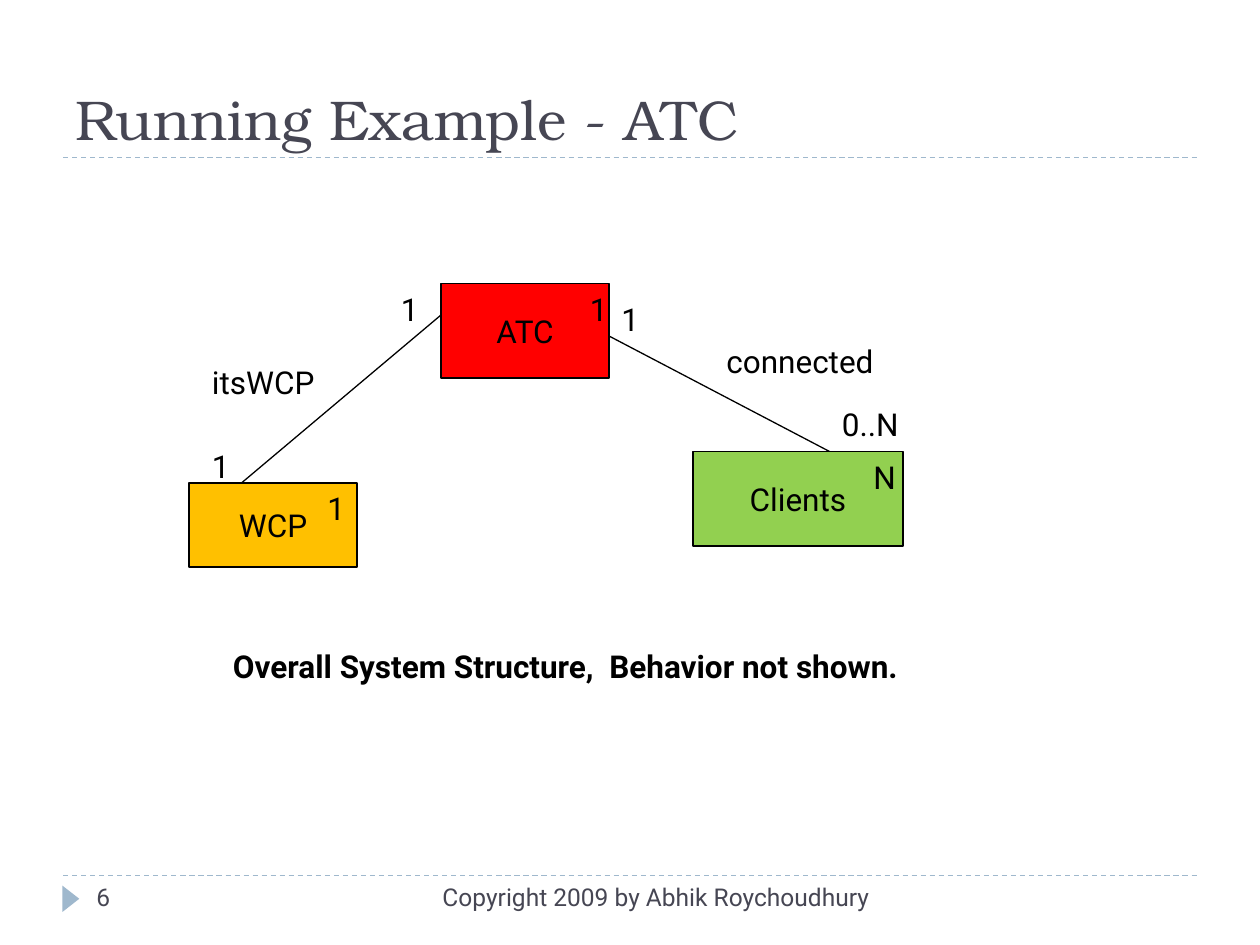
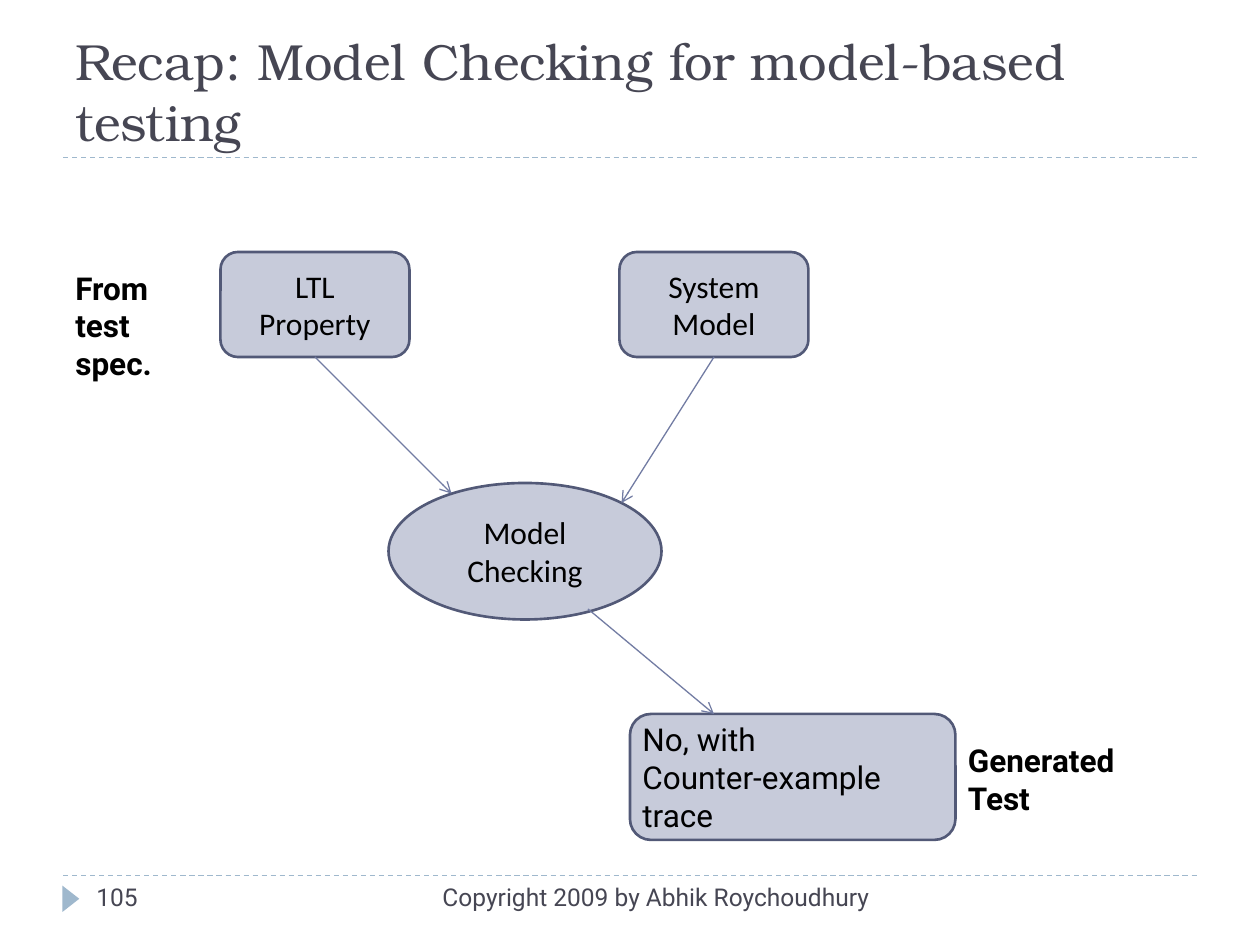
from dataclasses import dataclass

from lxml.etree import SubElement as Sub
from pptx import Presentation
from pptx.dml.color import RGBColor as RGB
from pptx.enum.dml import MSO_LINE as Dash
from pptx.enum.shapes import MSO_CONNECTOR as Conn, MSO_SHAPE as Kind
from pptx.enum.text import MSO_ANCHOR as Anchor, PP_ALIGN as Align
from pptx.oxml.ns import qn
from pptx.util import Emu, Pt

SCALE = 7620  # EMU in one px, 120 px to the inch
BOTTOM = 2    # connection site


@dataclass(frozen=True)
class Theme:
    ink: str = "000000"
    title: str = "464653"
    rule: str = "9FB8CD"
    fill: str = "C7CBDA"
    edge: str = "525977"
    arrow: str = "727CA3"
    red: str = "FF0000"
    amber: str = "FFC000"
    green: str = "92D050"
    serif: str = "TeX Gyre Bonum"
    sans: str = "Roboto"
    node: str = "Calibri"
    head: int = 32
    small_head: int = 29
    body: int = 18
    foot: int = 14
    thin: float = 0.75
    thick: float = 1.5


def px(*nums):
    return [Emu(n * SCALE) for n in nums]


def put(obj, **fmt):
    for key, val in fmt.items():
        setattr(obj, key, val)


class Deck:
    def __init__(self, theme):
        self.theme = theme
        self.prs = Presentation()
        self.prs.slide_width, self.prs.slide_height = px(1200, 900)
        self.slide = None

    def page(self, title, num, size=None):
        t = self.theme
        self.slide = self.prs.slides.add_slide(self.prs.slide_layouts[6])
        # Rules and footer marker
        for y in (834, 150):
            self.line((60, y), (1140, y), t.rule, dash=Dash.DASH)
        mark = self.shape(Kind.ISOSCELES_TRIANGLE, (55, 848, 25, 16), t.rule)
        mark.rotation = 90
        # Title and footer text
        self.text(title, (60, 20, 1080, 130), anchor=Anchor.BOTTOM,
                  name=t.serif, size=size or t.head, color=t.title)
        foot = dict(size=t.foot, color=t.title)
        self.text("Copyright 2009 by Abhik Roychoudhury", (380, 834, 460, 48),
                  align=Align.RIGHT, **foot)
        self.text(num, (80, 834, 260, 48), **foot)

    def words(self, frame, text, align=Align.LEFT, anchor=Anchor.TOP,
              name=None, size=None, color=None, bold=False):
        t = self.theme
        put(frame, word_wrap=True, vertical_anchor=anchor)
        for i, part in enumerate(text.split("\n")):
            para = frame.add_paragraph() if i else frame.paragraphs[0]
            para.alignment = align
            run = para.add_run()
            run.text = part
            put(run.font, name=name or t.sans, size=Pt(size or t.body), bold=bold)
            run.font.color.rgb = RGB.from_string(color or t.ink)

    def text(self, text, box, **fmt):
        area = self.slide.shapes.add_textbox(*px(*box))
        self.words(area.text_frame, text, **fmt)

    def shape(self, kind, box, fill, edge=None, width=None, text="", name=None):
        item = self.slide.shapes.add_shape(kind, *px(*box))
        item.shadow.inherit = False
        item.fill.solid()
        item.fill.fore_color.rgb = RGB.from_string(fill)
        if edge:
            item.line.color.rgb = RGB.from_string(edge)
            item.line.width = Pt(width)
        else:
            item.line.fill.background()
        if text:
            self.words(item.text_frame, text, Align.CENTER, Anchor.MIDDLE, name)
        return item

    def block(self, text, box, fill):
        t = self.theme
        return self.shape(Kind.RECTANGLE, box, fill, t.ink, t.thin, text)

    def node(self, text, box, kind=Kind.ROUNDED_RECTANGLE):
        t = self.theme
        return self.shape(kind, box, t.fill, t.edge, t.thick, text, t.node)

    def line(self, start, end, color, dash=None, head=False, source=None):
        link = self.slide.shapes.add_connector(Conn.STRAIGHT, *px(*start, *end))
        if source is not None:
            link.begin_connect(source, BOTTOM)
        put(link.line, width=Pt(self.theme.thin), dash_style=dash)
        link.line.color.rgb = RGB.from_string(color)
        props = link._element.spPr
        if head:
            Sub(props.find(qn("a:ln")), qn("a:tailEnd"), type="arrow")
        Sub(props, qn("a:effectLst"))


def atc(deck):
    t = deck.theme
    deck.page("Running Example - ATC", "6")
    # Classes
    deck.block("ATC", (420, 270, 160, 90), t.red)
    deck.block("WCP", (180, 460, 160, 80), t.amber)
    deck.block("Clients", (660, 430, 200, 90), t.green)
    # Counts and association names
    for text, x, y, w in (
        ("1", 550, 270, 30), ("1", 300, 460, 50), ("N", 820, 430, 60),
        ("1", 190, 420, 70), ("1", 370, 270, 50), ("1", 580, 280, 80),
        ("0..N", 790, 380, 110), ("connected", 680, 320, 280),
        ("itsWCP", 190, 340, 220),
    ):
        deck.text(text, (x, y, w, 48))
    # Associations
    deck.line((580, 320), (790, 430), t.ink)
    deck.line((420, 300), (230, 460), t.ink)
    deck.text("Overall System Structure,  Behavior not shown.",
              (210, 610, 810, 48), bold=True)


def recap(deck):
    t = deck.theme
    deck.page("Recap: Model Checking for model-based testing", "105", t.small_head)
    # Inputs, checker and result
    prop = deck.node("LTL Property", (210, 240, 180, 100))
    model = deck.node("System Model", (590, 240, 180, 100))
    deck.node("Model Checking", (370, 460, 260, 130), Kind.OVAL)
    deck.node("", (600, 680, 310, 120))
    deck.text("No, with\nCounter-example trace", (600, 680, 320, 120))
    # Flow
    for start, end, source in (
        ((300, 340), (430, 470), prop),
        ((560, 580), (680, 680), None),
        ((680, 340), (592, 479), model),
    ):
        deck.line(start, end, t.arrow, head=True, source=source)
    # Side notes
    deck.text("From test spec.", (60, 250, 130, 120), bold=True)
    deck.text("Generated\nTest", (910, 700, 220, 84), bold=True)


def main():
    deck = Deck(Theme())
    atc(deck)
    recap(deck)
    deck.prs.save("out.pptx")


if __name__ == "__main__":
    main()
